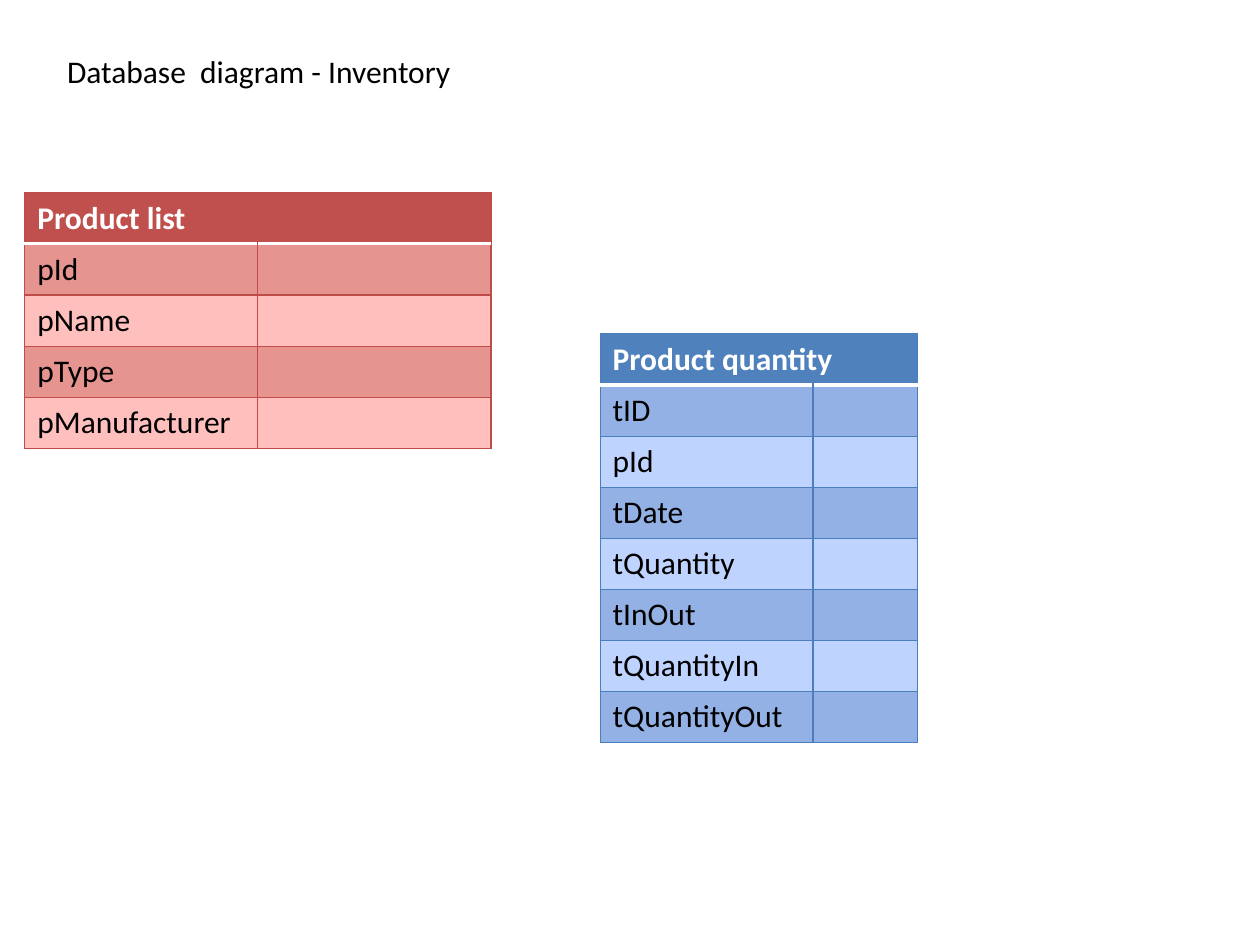
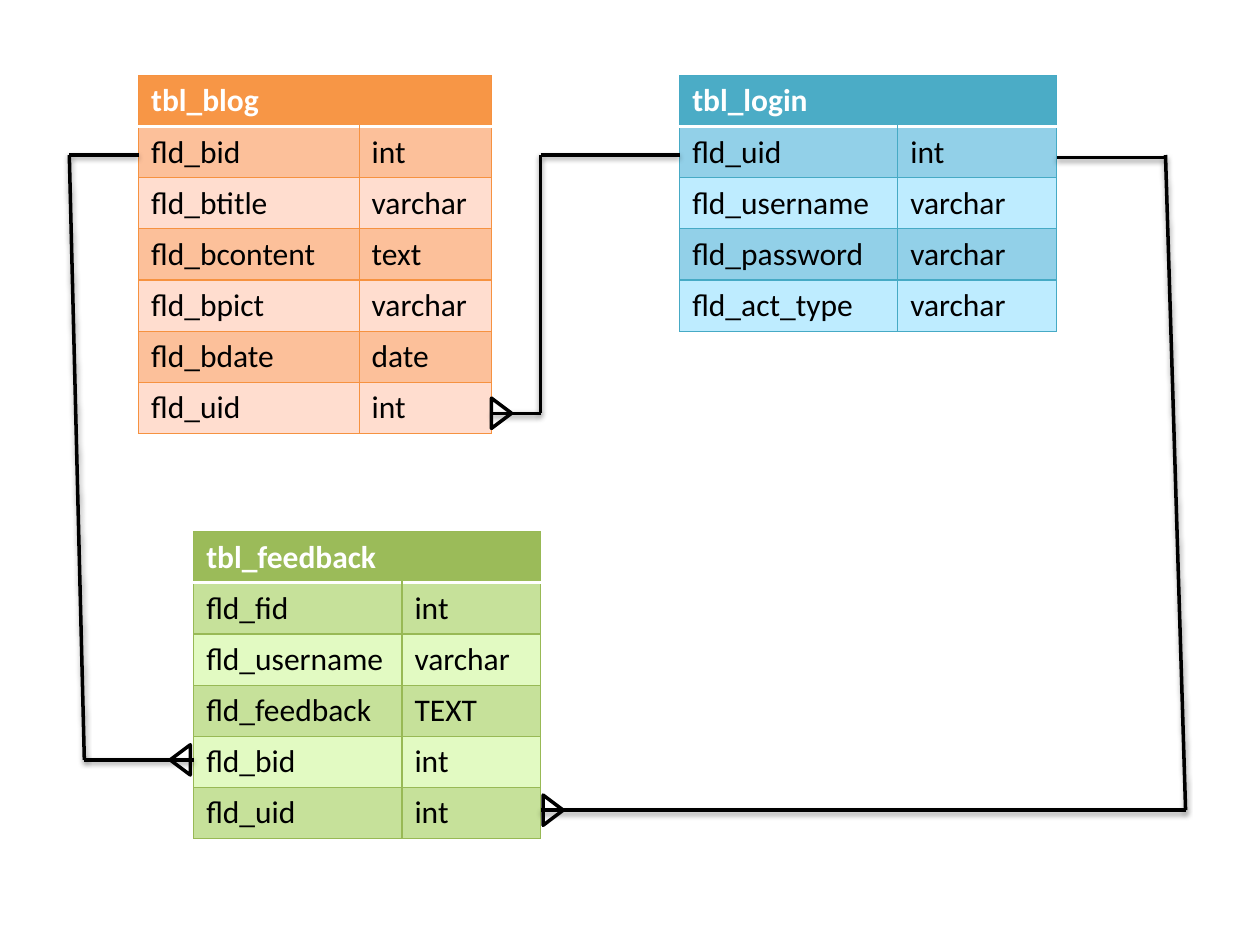
from lxml import etree
from pptx import Presentation
from pptx.dml.color import RGBColor
from pptx.enum.shapes import MSO_CONNECTOR, MSO_SHAPE
from pptx.oxml import parse_xml
from pptx.util import Pt

LINE = MSO_CONNECTOR.STRAIGHT
TRIANGLE = MSO_SHAPE.ISOSCELES_TRIANGLE
NS = "http://schemas.openxmlformats.org/drawingml/2006/main"

FONT = "Calibri"
SIZE = Pt(18)
ROW = 29.2
BLACK = RGBColor(0, 0, 0)
WHITE = RGBColor(255, 255, 255)


def hues(*codes):
    return [RGBColor.from_string(code) for code in codes]


# Header, border, dark band, light band
RED = hues("C0504D", "BF4C48", "E69490", "FFBFBD")
BLUE = hues("4F81BD", "4B7EBC", "93B1E4", "BFD3FF")
ORANGE = hues("F79646", "F69240", "FCC09A", "FFDDCF")
GREEN = hues("9BBB59", "98B955", "C6E19A", "E2FAC2")
CYAN = hues("4BACC6", "46AAC5", "92D0E8", "BEECFF")


def write(frame, text, color, bold=False):
    run = frame.paragraphs[0].add_run()
    run.text = text
    run.font.name = FONT
    run.font.size = SIZE
    run.font.bold = bold
    run.font.color.rgb = color


deck = Presentation()
deck.slide_width, deck.slide_height = Pt(720), Pt(540)
blank = deck.slide_layouts[6]
stock = deck.slides.add_slide(blank)
blog = deck.slides.add_slide(blank)

# Title of the first slide
title = stock.shapes.add_textbox(Pt(31.2), Pt(26), Pt(260.6), Pt(29))
title.text_frame.word_wrap = True
write(title.text_frame, "Database  diagram - Inventory", BLACK)

# Entity tables: slide, palette, left, top, column widths, name, fields
tables = [
    (stock, RED, 14.2, 110.2, (133.2, 133.2), "Product list",
     ["pId", "pName", "pType", "pManufacturer"]),
    (stock, BLUE, 342.9, 190.8, (121.7, 59.7), "Product quantity",
     ["tID", "pId", "tDate", "tQuantity", "tInOut", "tQuantityIn",
      "tQuantityOut"]),
    (blog, ORANGE, 79.2, 43.2, (126, 75.6), "tbl_blog",
     ["fld_bid:int", "fld_btitle:varchar", "fld_bcontent:text",
      "fld_bpict:varchar", "fld_bdate:date", "fld_uid:int"]),
    (blog, GREEN, 110.7, 303.9, (119, 79.4), "tbl_feedback",
     ["fld_fid:int", "fld_username:varchar", "fld_feedback:TEXT",
      "fld_bid:int", "fld_uid:int"]),
    (blog, CYAN, 388.4, 43.2, (124.6, 90.8), "tbl_login",
     ["fld_uid:int", "fld_username:varchar", "fld_password:varchar",
      "fld_act_type:varchar"]),
]
for slide, (head, edge, dark, light), left, top, widths, name, fields in tables:
    count = len(fields) + 1
    grid = slide.shapes.add_table(count, 2, Pt(left), Pt(top),
                                  Pt(sum(widths)), Pt(ROW * count)).table
    grid.horz_banding = False
    for col, width in zip(grid.columns, widths):
        col.width = Pt(width)
    for r, row in enumerate(grid.rows):
        row.height = Pt(ROW)
        texts = fields[r - 1].split(":") if r else [name]
        for c, cell in enumerate(row.cells):
            cell.fill.solid()
            cell.fill.fore_color.rgb = (dark if r % 2 else light) if r else head
            if c < len(texts):
                write(cell.text_frame, texts[c], BLACK if r else WHITE, r == 0)
            # Borders, with a white rule below the header
            props = cell._tc.get_or_add_tcPr()
            for i, side in enumerate("LRTB"):
                rule = (r, side) in ((0, "B"), (1, "T"))
                line = etree.Element(f"{{{NS}}}ln{side}",
                                     w=str(Pt(2 if rule else 0.75)))
                fill = etree.SubElement(line, f"{{{NS}}}solidFill")
                etree.SubElement(fill, f"{{{NS}}}srgbClr",
                                 val=str(WHITE if rule else edge))
                props.insert(i, line)
    grid.cell(0, 0).merge(grid.cell(0, 1))

# Relations: corner points, then centre and turn of the crow's foot
SHADOW = (f'<a:effectLst xmlns:a="{NS}"><a:outerShdw blurRad="{Pt(3.1)}" '
          f'dist="{Pt(1.6)}" dir="5400000" rotWithShape="0">'
          '<a:srgbClr val="000000"><a:alpha val="38000"/></a:srgbClr>'
          '</a:outerShdw></a:effectLst>')
FOOT_W, FOOT_H = 17.3, 11.5
links = [
    ([(79.2, 88.6), (39.6, 88.6), (48.2, 434.2), (110.7, 434.2)],
     (103, 434.2), 270),
    ([(280.8, 236.2), (308.9, 236.2), (308.9, 88.6), (388.4, 88.6)],
     (286.6, 236.2), 90),
    ([(308.9, 463), (677.5, 463), (666, 88.6)], (316.1, 463), 90),
    ([(666, 90), (604, 90)], None, 0),
]
for points, foot, turn in links:
    group = blog.shapes.add_group_shape()
    for (x1, y1), (x2, y2) in zip(points, points[1:]):
        line = group.shapes.add_connector(LINE, Pt(x1), Pt(y1), Pt(x2), Pt(y2))
        line.line.color.rgb = BLACK
        line.line.width = Pt(2)
        line._element.spPr.append(parse_xml(SHADOW))
    if foot:
        x, y = foot
        mark = group.shapes.add_shape(TRIANGLE, Pt(x - FOOT_W / 2),
                                      Pt(y - FOOT_H / 2), Pt(FOOT_W), Pt(FOOT_H))
        mark.rotation = turn
        mark.shadow.inherit = False
        mark.fill.background()
        mark.line.color.rgb = BLACK
        mark.line.width = Pt(2)

deck.save("out.pptx")
